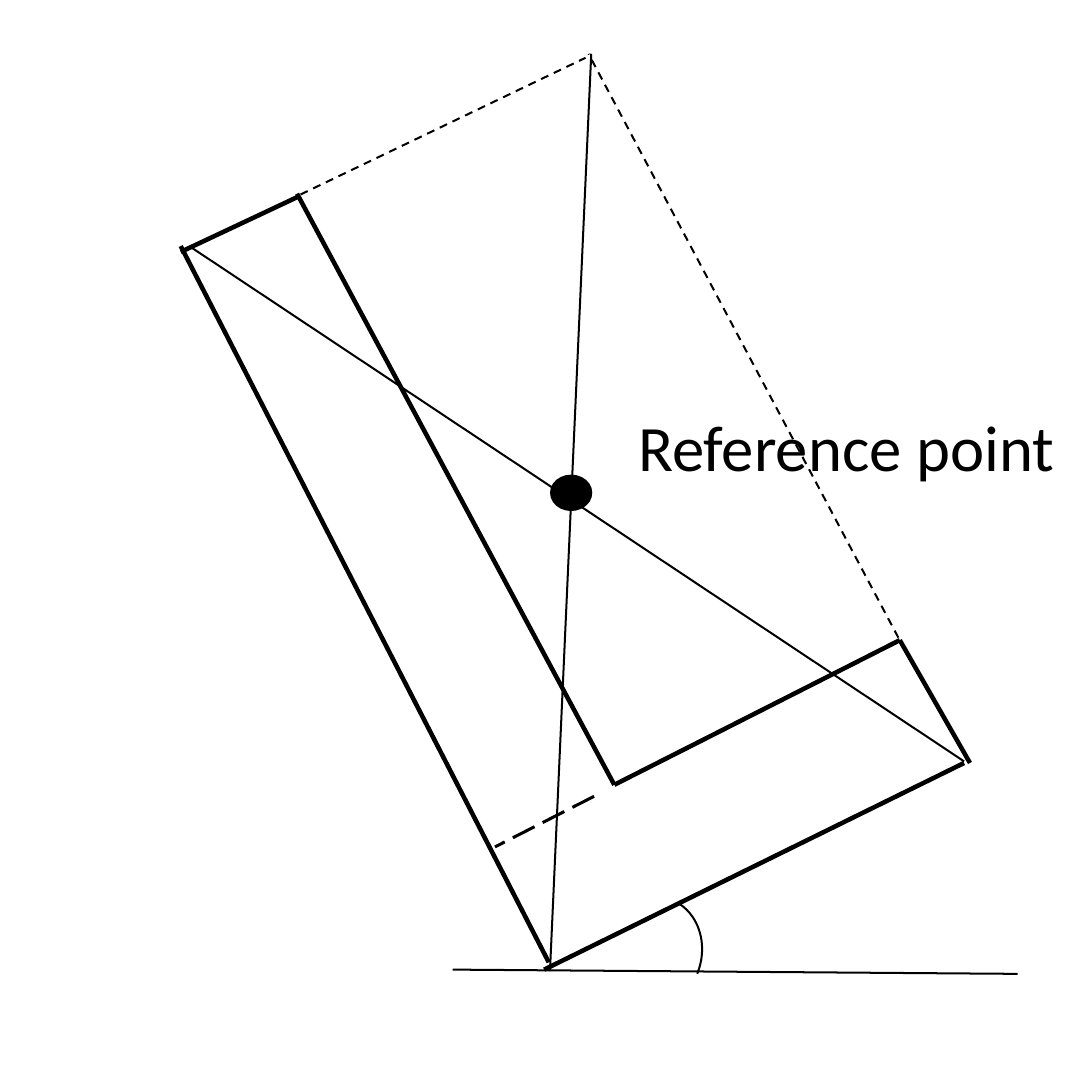
from lxml.etree import SubElement
from pptx import Presentation
from pptx.dml.color import RGBColor
from pptx.enum.dml import MSO_LINE
from pptx.enum.shapes import MSO_CONNECTOR, MSO_SHAPE
from pptx.enum.text import MSO_AUTO_SIZE
from pptx.oxml.ns import qn
from pptx.util import Pt


def paint(color_format, hex_string):
    color_format.rgb = RGBColor.from_string(hex_string)


INK = "000000"
THIN, MEDIUM, THICK = 1, 1.5, 2.25
SOLID, DASH, LONG_DASH = None, MSO_LINE.DASH, MSO_LINE.LONG_DASH

presentation = Presentation()
presentation.slide_width = Pt(538.56)
presentation.slide_height = Pt(540)
blank_layout = presentation.slide_layouts[6]
for placeholder in list(blank_layout.placeholders):
    placeholder.element.getparent().remove(placeholder.element)
slide = presentation.slides.add_slide(blank_layout)

reference_dot = slide.shapes.add_shape(
    MSO_SHAPE.OVAL, Pt(272), Pt(234.7), Pt(20.9), Pt(18))
reference_dot.shadow.inherit = False
reference_dot.fill.solid()
paint(reference_dot.fill.fore_color, INK)
reference_dot.line.fill.background()

label = slide.shapes.add_textbox(Pt(308.5), Pt(197.8), Pt(222.5), Pt(46.1))
label.text_frame.word_wrap = False
label.text_frame.auto_size = MSO_AUTO_SIZE.SHAPE_TO_FIT_TEXT
run = label.text_frame.paragraphs[0].add_run()
run.text = "Reference point"
run.font.name = "Calibri"
run.font.size = Pt(32)
paint(run.font.color, INK)

tilt_angle = slide.shapes.add_shape(
    MSO_SHAPE.ARC, Pt(295.6), Pt(442.8), Pt(51.1), Pt(58.3))
tilt_angle.adjustments[0] = 166.652
tilt_angle.adjustments[1] = 0
tilt_angle.rotation = 22.1
tilt_angle.shadow.inherit = False
tilt_angle.fill.background()
tilt_angle.line.width = Pt(THIN)
paint(tilt_angle.line.color, INK)

ground = [(223.9, 479.5, 503.3, 481.6, THIN, SOLID)]
chair_outline = [
    (89.4, 121.7, 271.4, 475.9, THICK, SOLID),
    (89.4, 124.6, 147.6, 97.2, THICK, SOLID),
    (269.1, 479.5, 476.8, 377.3, THICK, SOLID),
    (146.9, 95.8, 303.8, 388.1, THICK, SOLID),
    (303.8, 388.1, 445, 316.6, THICK, SOLID),
    (445, 316.6, 479.7, 377.3, THICK, SOLID),
]
enclosing_box = [
    (136.1, 102.2, 289.6, 28.6, THIN, DASH),
    (450.8, 327.6, 291.1, 26.7, THIN, DASH),
]
diagonals = [
    (292.4, 26.6, 272, 480.2, THIN, SOLID),
    (93.6, 121.7, 476.8, 376.5, THIN, SOLID),
]
joint = [(293.8, 393.8, 244.8, 418.8, MEDIUM, LONG_DASH)]

all_lines = ground + chair_outline + enclosing_box + diagonals + joint
for begin_x, begin_y, end_x, end_y, width, dash in all_lines:
    connector = slide.shapes.add_connector(
        MSO_CONNECTOR.STRAIGHT, Pt(begin_x), Pt(begin_y), Pt(end_x), Pt(end_y))
    connector.line.width = Pt(width)
    paint(connector.line.color, INK)
    connector.line.dash_style = dash
    SubElement(connector._element.spPr, qn("a:effectLst"))

presentation.save("out.pptx")
